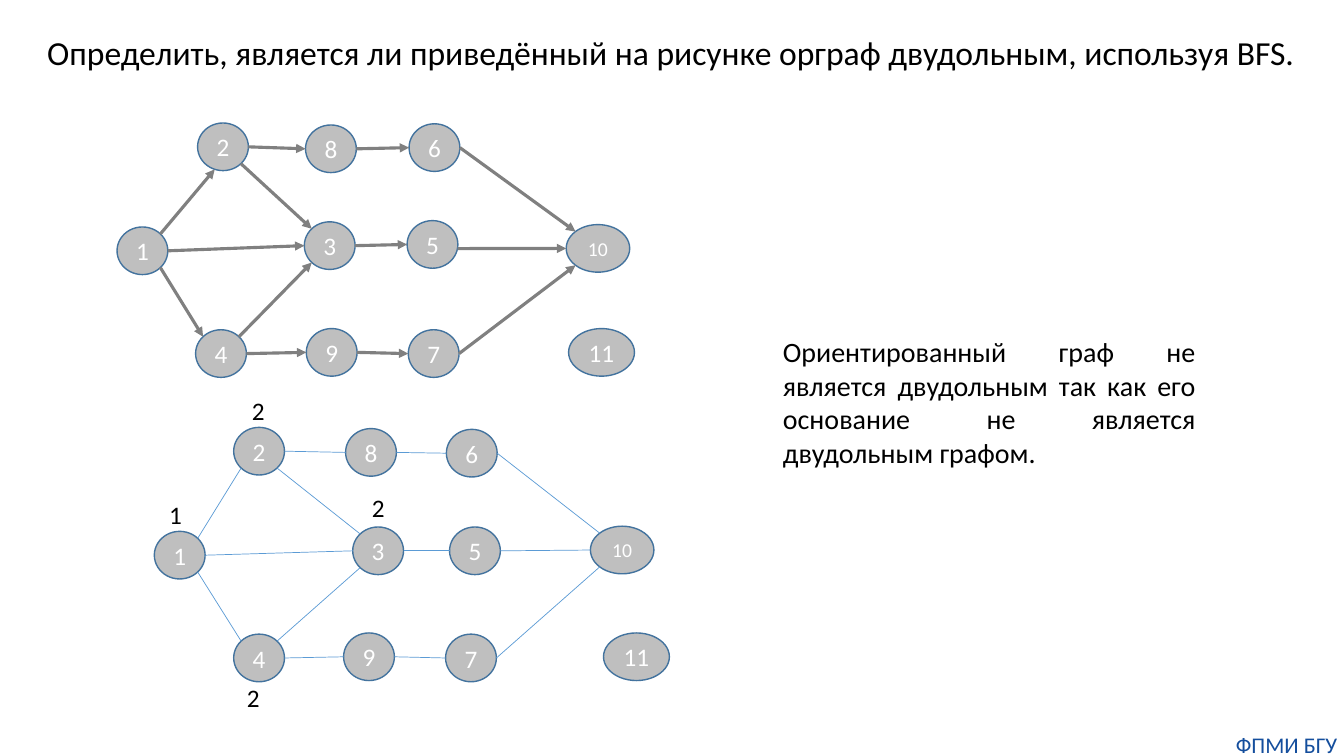
from dataclasses import dataclass
from math import cos, radians, sin

from lxml import etree
from pptx import Presentation
from pptx.dml.color import RGBColor
from pptx.enum.shapes import MSO_CONNECTOR, MSO_SHAPE
from pptx.enum.text import MSO_ANCHOR, MSO_AUTO_SIZE, PP_ALIGN
from pptx.oxml.ns import qn
from pptx.shapes.shapetree import SlideShapes
from pptx.text.text import TextFrame
from pptx.util import Cm, Pt

OVAL = MSO_SHAPE.OVAL
LINE = MSO_CONNECTOR.STRAIGHT
MIDDLE = MSO_ANCHOR.MIDDLE
GROW = MSO_AUTO_SIZE.SHAPE_TO_FIT_TEXT
LEFT, CENTER, FULL = PP_ALIGN.LEFT, PP_ALIGN.CENTER, PP_ALIGN.JUSTIFY


@dataclass(frozen=True)
class Theme:
    font: str = "Calibri"
    ink: str = "000000"
    mark: str = "144E9D"
    node: str = "BFBFBF"
    rim: str = "43739E"
    digit: str = "FFFFFF"
    arrow: str = "808080"
    edge: str = "5B9BD5"
    title: float = 24
    body: float = 20
    foot: float = 16
    label: float = 18
    small: float = 14
    rim_width: float = 1
    arrow_width: float = 2.25
    edge_width: float = 0.5


THEME = Theme()


@dataclass(frozen=True)
class Node:
    left: float
    top: float
    width: float = 1.28
    height: float = 1.2
    size: float = THEME.label

    def point(self, angle: float) -> tuple[float, float]:
        turn = radians(angle)
        return (self.left + self.width / 2 * (1 + cos(turn)),
                self.top + self.height / 2 * (1 + sin(turn)))


@dataclass(frozen=True)
class Edge:
    start: int
    end: int
    leave: float = 0
    enter: float = 180


@dataclass(frozen=True)
class Graph:
    nodes: list[Node]
    edges: list[Edge]
    color: str
    width: float
    arrows: bool


@dataclass(frozen=True)
class Note:
    text: str
    left: float
    top: float
    width: float = 0.84
    height: float = 1.02
    size: float = THEME.label
    color: str = THEME.ink
    align: PP_ALIGN = LEFT
    wrap: bool = False
    inset: bool = True


SHARED = [
    Edge(1, 3), Edge(1, 4, 45, 225), Edge(2, 3, 45, 225), Edge(4, 3, 315, 135),
    Edge(2, 8), Edge(8, 6), Edge(3, 5), Edge(4, 9), Edge(9, 7),
    Edge(6, 10, 0, 225), Edge(7, 10, 0, 135),
]

GRAPHS = [
    Graph(
        [Node(2.95, 5.72), Node(4.98, 3.1), Node(7.67, 5.59), Node(4.93, 8.31),
         Node(10.26, 5.56), Node(10.31, 3.12), Node(10.29, 8.31), Node(7.7, 3.15),
         Node(7.72, 8.28), Node(14.27, 5.66, 1.6, size=THEME.small),
         Node(14.33, 8.28, 1.66)],
        SHARED + [Edge(1, 2, 315, 109), Edge(5, 10, 10, 180)],
        THEME.arrow, THEME.arrow_width, True),
    Graph(
        [Node(3.89, 13.39), Node(5.89, 10.77), Node(8.89, 13.28), Node(5.89, 15.98),
         Node(11.33, 13.28), Node(11.25, 10.82), Node(11.23, 15.98), Node(8.71, 10.8),
         Node(8.66, 15.95), Node(14.88, 13.26, 1.6, size=THEME.small),
         Node(15.21, 15.95, 1.66)],
        SHARED + [Edge(1, 2, 315, 135), Edge(5, 10)],
        THEME.edge, THEME.edge_width, False),
]

NOTES = [
    Note("1", 4.01, 12.47),
    Note("2", 6.1, 9.83),
    Note("2", 5.97, 17.07),
    Note("2", 9.12, 12.29),
    Note("Ориентированный граф не является двудольным так как его основание "
         "не является двудольным графом.",
         19.48, 8.31, 10.9, 3.68, THEME.body, align=FULL, wrap=True),
    Note("ФПМИ БГУ", 30.99, 18.42, 2.87, 0.69, THEME.foot, THEME.mark,
         CENTER, True, False),
    Note("Определить, является ли приведённый на рисунке орграф двудольным, "
         "используя BFS.", 0.94, 0.69, 32.23, 1.27, THEME.title, wrap=True),
]


def write(frame: TextFrame, text: str, size: float, color: str,
          align: PP_ALIGN) -> None:
    line = frame.paragraphs[0]
    line.alignment = align
    run = line.add_run()
    run.text = text
    run.font.name = THEME.font
    run.font.size = Pt(size)
    run.font.color.rgb = RGBColor.from_string(color)


def strip(frame: TextFrame) -> None:
    frame.margin_left = frame.margin_right = Cm(0)
    frame.margin_top = frame.margin_bottom = Cm(0)


def draw_node(shapes: SlideShapes, node: Node, name: str) -> None:
    oval = shapes.add_shape(OVAL, Cm(node.left), Cm(node.top),
                            Cm(node.width), Cm(node.height))
    oval.shadow.inherit = False
    oval.fill.solid()
    oval.fill.fore_color.rgb = RGBColor.from_string(THEME.node)
    oval.line.color.rgb = RGBColor.from_string(THEME.rim)
    oval.line.width = Pt(THEME.rim_width)
    frame = oval.text_frame
    strip(frame)
    frame.vertical_anchor = MIDDLE
    write(frame, name, node.size, THEME.digit, CENTER)


def draw_edge(shapes: SlideShapes, graph: Graph, edge: Edge) -> None:
    start = graph.nodes[edge.start - 1].point(edge.leave)
    end = graph.nodes[edge.end - 1].point(edge.enter)
    link = shapes.add_connector(LINE, *map(Cm, start + end))
    link.line.color.rgb = RGBColor.from_string(graph.color)
    link.line.width = Pt(graph.width)
    if graph.arrows:
        etree.SubElement(link.line._get_or_add_ln(), qn("a:tailEnd"), type="triangle")
    etree.SubElement(link._element.spPr, qn("a:effectLst"))


def draw_graph(shapes: SlideShapes, graph: Graph) -> None:
    for name, node in enumerate(graph.nodes, 1):
        draw_node(shapes, node, str(name))
    for edge in graph.edges:
        draw_edge(shapes, graph, edge)


def draw_note(shapes: SlideShapes, note: Note) -> None:
    box = shapes.add_textbox(Cm(note.left), Cm(note.top),
                             Cm(note.width), Cm(note.height))
    frame = box.text_frame
    frame.word_wrap = note.wrap
    frame.auto_size = GROW
    if not note.inset:
        strip(frame)
    write(frame, note.text, note.size, note.color, note.align)


def main() -> None:
    deck = Presentation()
    deck.slide_width, deck.slide_height = Cm(33.87), Cm(19.05)
    shapes = deck.slides.add_slide(deck.slide_layouts[6]).shapes
    for graph in GRAPHS:
        draw_graph(shapes, graph)
    for note in NOTES:
        draw_note(shapes, note)
    deck.save("out.pptx")


if __name__ == "__main__":
    main()
